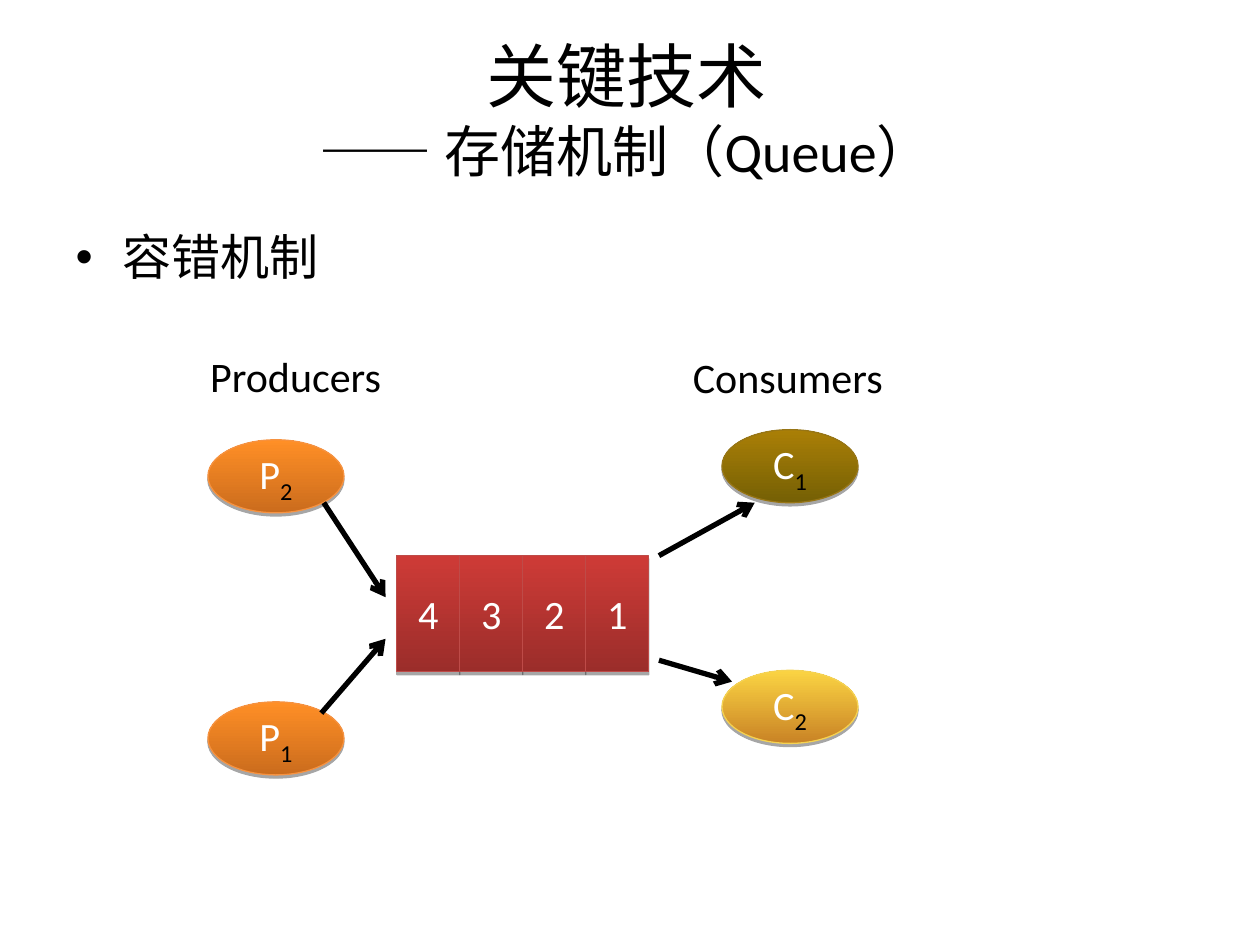
import pptx
import pptx.util
import pptx.dml.color
import pptx.enum.shapes
import pptx.enum.text
import pptx.oxml.ns
from lxml import etree

Inches, Pt = pptx.util.Inches, pptx.util.Pt
qn = pptx.oxml.ns.qn
SHAPE = pptx.enum.shapes.MSO_SHAPE
ALIGN = pptx.enum.text.PP_ALIGN
ANCHOR = pptx.enum.text.MSO_ANCHOR


def rgb(value):
    return pptx.dml.color.RGBColor.from_string(value)


def add_node(preset, left, top, width, height, colours, letter, index=""):
    """Draw a shaded, labelled shape; colours are bottom, top and outline."""
    node = page.shapes.add_shape(
        preset, Inches(left), Inches(top), Inches(width), Inches(height))
    node.fill.gradient()
    node.fill.gradient_angle = 90
    for stop, colour in zip(node.fill.gradient_stops, colours):
        stop.color.rgb = rgb(colour)
    node.line.color.rgb = rgb(colours[2])
    node.line.width = Pt(0.75)

    # Soft shadow just below the shape
    node.shadow.inherit = False
    effects = node.element.spPr.find(qn("a:effectLst"))
    shadow = etree.SubElement(
        effects, qn("a:outerShdw"), dist=str(Pt(1.8)), dir="5400000",
        rotWithShape="0")
    black = etree.SubElement(shadow, qn("a:srgbClr"), val="000000")
    etree.SubElement(black, qn("a:alpha"), val="35000")

    # Letter with an optional subscript
    node.text_frame.vertical_anchor = ANCHOR.MIDDLE
    para = node.text_frame.paragraphs[0]
    para.alignment = ALIGN.CENTER
    para.font.name = "Calibri"
    for text, size, colour in ((letter, 23, "FFFFFF"), (index, 24, "000000")):
        if text:
            span = para.add_run()
            span.text = text
            span.font.size = Pt(size)
            span.font.color.rgb = rgb(colour)
    if index:
        span.font._element.set("baseline", "-25000")


deck = pptx.Presentation()
deck.slide_width, deck.slide_height = Inches(10), Inches(7.5)
page = deck.slides.add_slide(deck.slide_layouts[1])

# Title in two lines
title = page.shapes.title
title.left, title.top = Inches(0.47), Inches(0.23)
title.width, title.height = Inches(9), Inches(1.25)
title.text_frame.vertical_anchor = ANCHOR.MIDDLE
para = title.text_frame.paragraphs[0]
para.alignment = ALIGN.CENTER
para.font.name = "Calibri"
para.font.color.rgb = rgb("000000")
span = para.add_run()
span.text = "关键技术"
span.font.size = Pt(40)
para.add_line_break()
span = para.add_run()
span.text = "—— 存储机制（Queue）"
span.font.size = Pt(32)

# Bullet
body = page.placeholders[1]
body.left, body.top = Inches(0.5), Inches(1.75)
body.width, body.height = Inches(9), Inches(0.75)
para = body.text_frame.paragraphs[0]
para.text = "容错机制"
para.font.name = "Noto Sans CJK SC"
para.font.size = Pt(28)
para.font.color.rgb = rgb("000000")

# Column labels
for text, left, top, width in (("Producers", 1.57, 2.73, 1.57),
                               ("Consumers", 5.4, 2.74, 1.71)):
    label = page.shapes.add_textbox(
        Inches(left), Inches(top), Inches(width), Inches(0.5))
    label.text_frame.word_wrap = False
    para = label.text_frame.paragraphs[0]
    para.text = text
    para.font.name = "Calibri"
    para.font.size = Pt(24)
    para.font.color.rgb = rgb("000000")

# Producers and consumers
orange = ("CB6C1D", "FF8F26", "F69240")
olive = ("756005", "AA7F06", "977515")
yellow = ("C98325", "FBD443", "F5D251")
for letter, index, left, top, colours in (("P", "2", 1.65, 3.49, orange),
                                          ("P", "1", 1.65, 5.57, orange),
                                          ("C", "1", 5.73, 3.41, olive),
                                          ("C", "2", 5.73, 5.32, yellow)):
    add_node(SHAPE.OVAL, left, top, 1.08, 0.58, colours, letter, index)

# Queue cells
red = ("9B2D2A", "CE3B37", "BE4B48")
for column, number in enumerate("4321"):
    add_node(SHAPE.RECTANGLE, 3.15 + 0.5 * column, 4.41, 0.5, 0.92, red, number)

# Arrows into and out of the queue
for x1, y1, x2, y2 in ((2.57, 3.99, 3.06, 4.74),
                       (2.55, 5.66, 3.06, 5.07),
                       (5.23, 4.41, 5.99, 3.99),
                       (5.23, 5.24, 5.81, 5.41)):
    arrow = page.shapes.add_connector(
        pptx.enum.shapes.MSO_CONNECTOR.STRAIGHT,
        Inches(x1), Inches(y1), Inches(x2), Inches(y2))
    arrow.line.color.rgb = rgb("000000")
    arrow.line.width = Pt(3)
    properties = arrow.element.spPr
    etree.SubElement(properties.find(qn("a:ln")), qn("a:tailEnd"), type="arrow")
    etree.SubElement(properties, qn("a:effectLst"))

deck.save("out.pptx")
